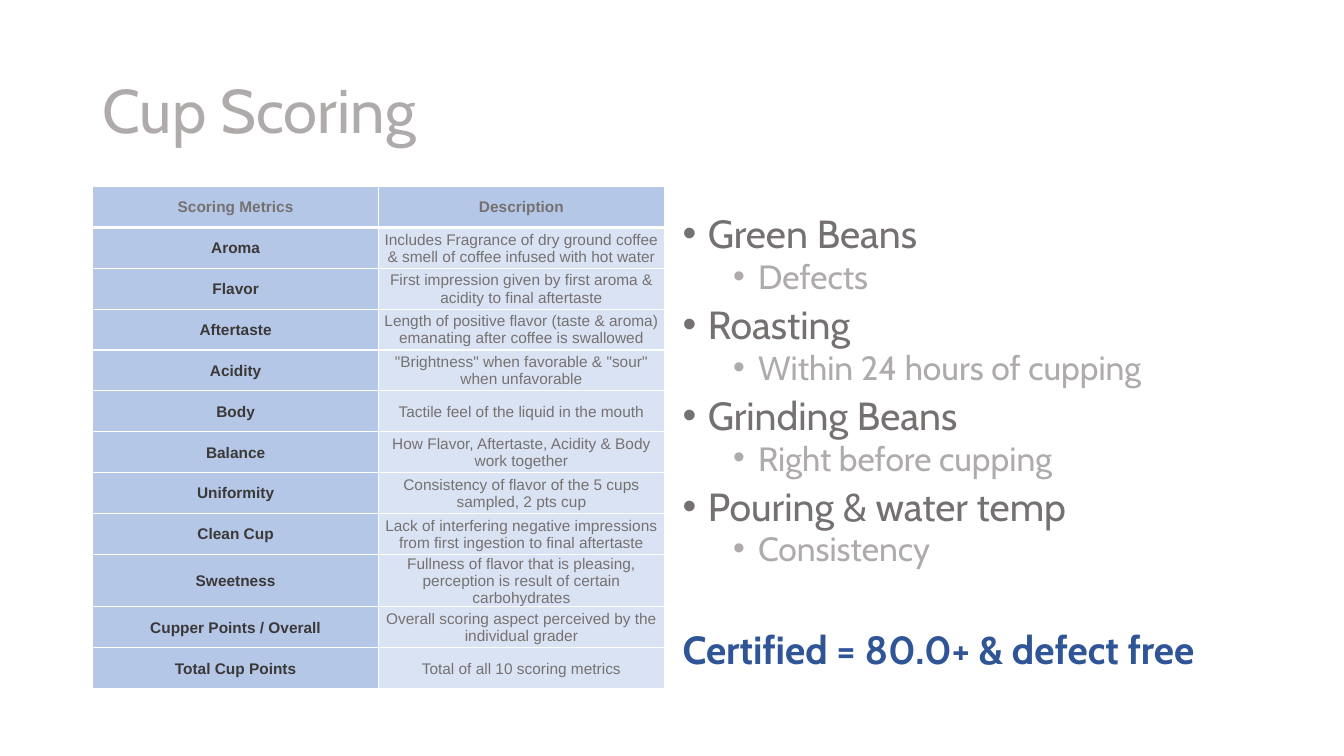
from dataclasses import dataclass

from lxml import etree
from pptx import Presentation
from pptx import util as u
from pptx.dml.color import RGBColor
from pptx.enum import text
from pptx.oxml.ns import qn

# Content
TITLE = "Cup Scoring"
METRICS = [
    ("Scoring Metrics", "Description"),
    ("Aroma", "Includes Fragrance of dry ground coffee & smell of coffee infused with hot water"),
    ("Flavor", "First impression given by first aroma & acidity to final aftertaste"),
    ("Aftertaste", "Length of positive flavor (taste & aroma) emanating after coffee is swallowed"),
    ("Acidity", '"Brightness" when favorable & "sour" when unfavorable'),
    ("Body", "Tactile feel of the liquid in the mouth"),
    ("Balance", "How Flavor, Aftertaste, Acidity & Body work together"),
    ("Uniformity", "Consistency of flavor of the 5 cups sampled, 2 pts cup"),
    ("Clean Cup", "Lack of interfering negative impressions from first ingestion to final aftertaste"),
    ("Sweetness", "Fullness of flavor that is pleasing, perception is result of certain carbohydrates"),
    ("Cupper Points / Overall", "Overall scoring aspect perceived by the individual grader"),
    ("Total Cup Points", "Total of all 10 scoring metrics"),
]
STEPS = [
    ("Green Beans", "Defects"),
    ("Roasting", "Within 24 hours of cupping"),
    ("Grinding Beans", "Right before cupping"),
    ("Pouring & water temp", "Consistency"),
]
VERDICT = "Certified = 80.0+ & defect free"


@dataclass(frozen=True)
class Theme:
    font: str = "Cabin"
    table_font: str = "Arial"
    light: str = "AFABAB"
    grey: str = "767171"
    dark: str = "3B3838"
    accent: str = "2F5597"
    label_fill: str = "B4C7E7"
    text_fill: str = "DAE3F3"
    border: str = "FFFFFF"
    title_size: int = 44
    step_size: int = 28
    detail_size: int = 24
    table_size: int = 11


T = Theme()


def write(p, words, size, color, font=T.font, bold=False, align=text.PP_ALIGN.LEFT,
          spacing=None, before=0):
    """Put one formatted run into a paragraph."""
    p.alignment = align
    p.space_before = u.Pt(before)
    if spacing:
        p.line_spacing = spacing
    r = p.add_run()
    r.text = words
    r.font.name, r.font.size, r.font.bold = font, u.Pt(size), bold
    r.font.color.rgb = RGBColor.from_string(color)


def set_bullet(p, margin, char=None):
    """Hang a bullet at the margin, or turn bullets off."""
    pPr = p._p.get_or_add_pPr()
    pPr.set("marL", str(u.Inches(margin)))
    pPr.set("indent", str(u.Inches(-0.25 if char else 0)))
    if char:
        etree.SubElement(pPr, qn("a:buFont"), typeface="Arial")
        etree.SubElement(pPr, qn("a:buChar"), char=char)
    else:
        etree.SubElement(pPr, qn("a:buNone"))


def set_borders(cell, **widths):
    """Draw the four cell edges, given in points as L, R, T and B."""
    tcPr = cell._tc.get_or_add_tcPr()
    for i, (side, width) in enumerate(widths.items()):
        ln = etree.Element(qn("a:ln" + side), w=str(u.Pt(width)))
        fill = etree.SubElement(ln, qn("a:solidFill"))
        etree.SubElement(fill, qn("a:srgbClr"), val=T.border)
        tcPr.insert(i, ln)


def place(sp, left, top, width, height):
    sp.left, sp.top = u.Inches(left), u.Inches(top)
    sp.width, sp.height = u.Inches(width), u.Inches(height)


def add_title(s):
    sp = s.shapes.title
    place(sp, 0.92, 0.4, 11.5, 1.45)
    tf = sp.text_frame
    tf.vertical_anchor = text.MSO_ANCHOR.MIDDLE
    tf.auto_size = text.MSO_AUTO_SIZE.NONE
    write(tf.paragraphs[0], TITLE, T.title_size, T.light, spacing=0.9)


def add_steps(s):
    sp = s.placeholders[1]
    place(sp, 6.67, 2.12, 5.67, 5.02)
    tf = sp.text_frame
    tf.auto_size = text.MSO_AUTO_SIZE.NONE
    p = tf.paragraphs[0]
    for step, detail in STEPS:
        write(p, step, T.step_size, T.grey, spacing=0.8, before=10)
        set_bullet(p, 0.25, "•")
        p = tf.add_paragraph()
        p.level = 1
        write(p, detail, T.detail_size, T.light, spacing=0.8, before=5)
        set_bullet(p, 0.75, "•")
        p = tf.add_paragraph()
    write(p, VERDICT, T.step_size, T.accent, bold=True, spacing=0.8, before=47)
    set_bullet(p, 0)


def add_metrics(s):
    rows, width, height = len(METRICS), 5.67, 4.87
    frame = s.shapes.add_table(rows, 2, u.Inches(0.92), u.Inches(1.85),
                               u.Inches(width), u.Inches(height))
    tbl = frame.table
    for row in tbl.rows:
        row.height = u.Inches(height / rows)
    for i, row in enumerate(METRICS):
        for j, words in enumerate(row):
            cell = tbl.cell(i, j)
            label = i == 0 or j == 0
            color = T.dark if i and label else T.grey
            cell.margin_left = cell.margin_right = cell.margin_top = u.Inches(0.01)
            cell.margin_bottom = 0
            cell.vertical_anchor = text.MSO_ANCHOR.MIDDLE
            cell.fill.solid()
            cell.fill.fore_color.rgb = RGBColor.from_string(T.label_fill if label else T.text_fill)
            write(cell.text_frame.paragraphs[0], words, T.table_size, color,
                  font=T.table_font, bold=label, align=text.PP_ALIGN.CENTER)
            # A heavier rule separates the header from the metrics
            set_borders(cell, L=1, R=1, T=3 if i == 1 else 1, B=3 if i == 0 else 1)


def main():
    prs = Presentation()
    prs.slide_width, prs.slide_height = u.Inches(13.33), u.Inches(7.5)
    s = prs.slides.add_slide(prs.slide_layouts[1])
    add_title(s)
    add_steps(s)
    add_metrics(s)
    prs.save("out.pptx")


if __name__ == "__main__":
    main()
